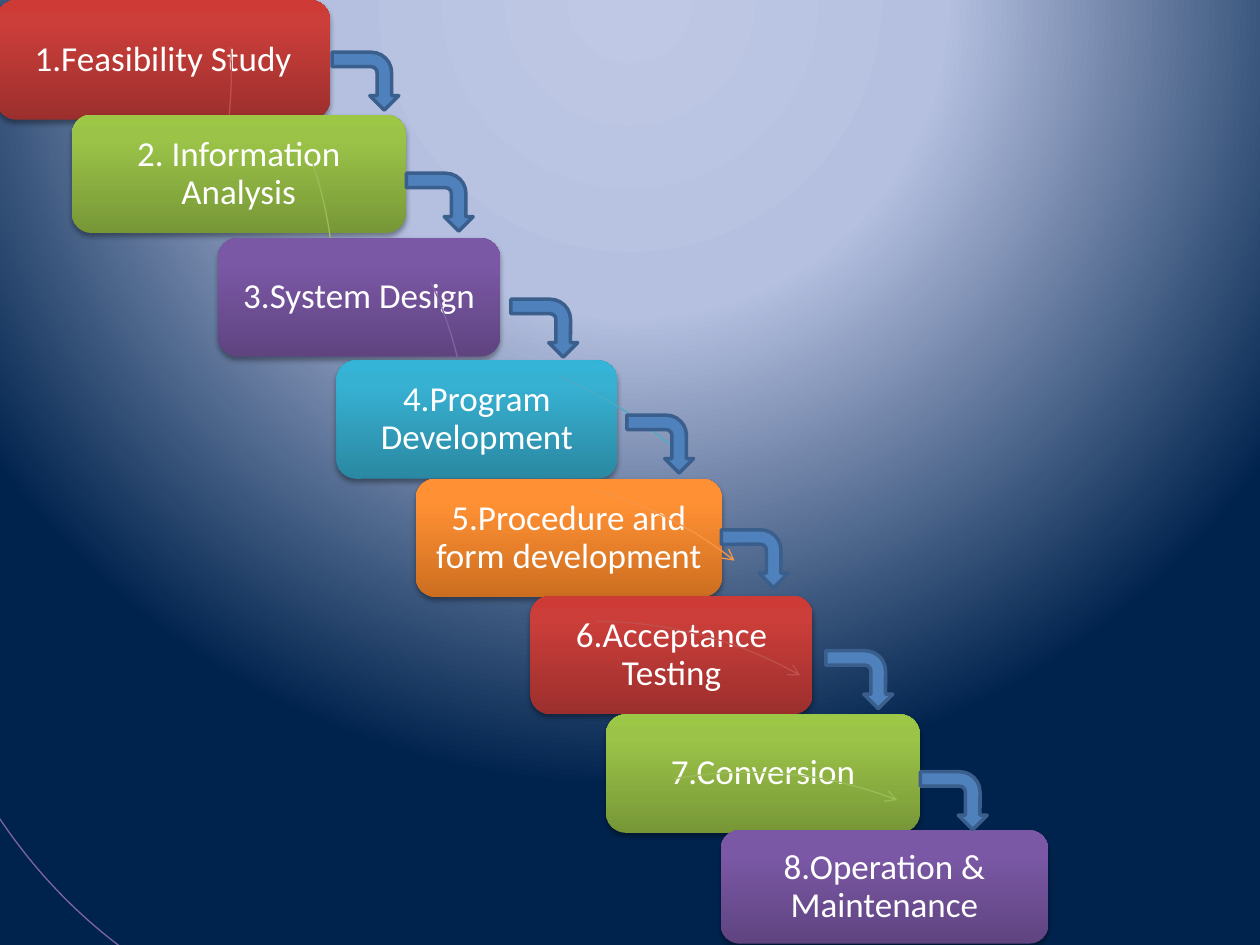
import lxml.etree
import pptx
import pptx.util
import pptx.dml.color
import pptx.enum.shapes
import pptx.enum.text
import pptx.oxml
from pptx.oxml.ns import nsdecls, qn

Inches, Pt = pptx.util.Inches, pptx.util.Pt
RGB = pptx.dml.color.RGBColor.from_string
SHAPES = pptx.enum.shapes.MSO_SHAPE

# Theme: each box colour has gradient stops (bottom to top) and an arc colour
THEME = {
    "font": "Calibri", "size": 20, "text": "FFFFFF",
    "arrow": "4F81BD", "arrow_line": "3A5F8C",
    "background": [(0, "BFC9E5"), (40, "B5C0E0"), (100, "00234D")],
    "red": ([(0, "9C2F2D"), (80, "CB3E3A"), (100, "CE3B37")], "C0504D"),
    "green": ([(0, "779737"), (80, "9BC348"), (100, "9DC746")], "9BBB59"),
    "purple": ([(0, "5F4480"), (80, "7B58A6"), (100, "7C57A8")], "8064A2"),
    "teal": ([(0, "2A88A2"), (80, "37B1D2"), (100, "34B4D6")], "4BACC6"),
    "orange": ([(0, "CC6E20"), (80, "FF9034"), (100, "FF9136")], "F79646"),
}
COLOUR_CYCLE = ["red", "green", "purple", "teal", "orange"]

# Steps: text, box (left, top, width, height),
# arc circle (left, top, diameter), arc as Bezier points
STEPS = [
    ("1.Feasibility Study", (-0.03, 0, 2.65, 0.95), (-4.72, -2.67, 6.55),
     [(1.83, 0.37), (1.85, 0.75), (1.81, 1.13), (1.71, 1.5)]),
    ("2. Information Analysis", (0.57, 0.91, 2.65, 0.94), (-3.9, -0.93, 6.55),
     [(2.47, 1.26), (2.6, 1.64), (2.66, 2.04), (2.65, 2.44)]),
    ("3.System Design", (1.73, 1.89, 2.24, 0.94), (-2.83, 0.33, 6.55),
     [(3.42, 2.24), (3.59, 2.61), (3.69, 3), (3.71, 3.41)]),
    ("4.Program Development", (2.67, 2.86, 2.23, 0.94), (-0.1, 2.74, 6.55),
     [(4.44, 2.99), (4.82, 3.15), (5.17, 3.38), (5.47, 3.67)]),
    ("5.Procedure and form development", (3.3, 3.8, 2.43, 0.94),
     (0.55, 3.77, 6.55),
     [(4.71, 3.89), (5.12, 4), (5.5, 4.19), (5.83, 4.45)]),
    ("6.Acceptance Testing", (4.21, 4.73, 2.24, 0.94), (1.44, 4.93, 6.55),
     [(4.74, 4.93), (5.3, 4.94), (5.86, 5.08), (6.35, 5.36)]),
    ("7.Conversion", (4.81, 5.67, 2.49, 0.94), (2.67, 6.13, 6.55),
     [(5.35, 6.18), (5.95, 6.08), (6.56, 6.13), (7.12, 6.35)]),
    ("8.Operation & Maintenance", (5.72, 6.59, 2.6, 0.9), (-0.69, 0.11, 8.23),
     [(4.44, 8.21), (2.84, 8.62), (1.15, 8.03), (0.15, 6.71),
      (-0.85, 5.4), (-0.97, 3.61), (-0.15, 2.18)]),
]
# Left and top of the bent arrow after each step but the last
ARROWS = [(2.67, 0.38), (3.26, 1.34), (4.09, 2.34), (5.01, 3.26),
          (5.76, 4.17), (6.59, 5.13), (7.34, 6.09)]
ARROW_SIZE = (0.46, 0.53)


def set_gradient(fill, props, stops, direction):
    """Replace the fill held by props with a gradient of several stops."""
    fill.solid()
    gs = "".join(f'<a:gs pos="{pos * 1000}"><a:srgbClr val="{c}"/></a:gs>'
                 for pos, c in stops)
    grad = pptx.oxml.parse_xml(
        f'<a:gradFill {nsdecls("a")} rotWithShape="1"><a:gsLst>{gs}</a:gsLst>'
        f'{direction}</a:gradFill>')
    solid = props.find(qn("a:solidFill"))
    props.replace(solid, grad)


def add_box(s, text, place, stops):
    sp = s.shapes.add_shape(SHAPES.ROUNDED_RECTANGLE, *map(Inches, place))
    props = sp._element.spPr
    set_gradient(sp.fill, props, stops, '<a:lin ang="16200000" scaled="0"/>')
    sp.line.fill.background()
    sp.shadow.inherit = False
    props.find(qn("a:effectLst")).append(pptx.oxml.parse_xml(
        f'<a:outerShdw {nsdecls("a")} blurRad="{Pt(3.1)}" dist="{Pt(1.8)}" '
        'dir="5400000" rotWithShape="0"><a:srgbClr val="000000">'
        '<a:alpha val="35000"/></a:srgbClr></a:outerShdw>'))
    tf = sp.text_frame
    tf.word_wrap = True
    tf.vertical_anchor = pptx.enum.text.MSO_ANCHOR.MIDDLE
    tf.margin_left = tf.margin_right = Inches(0.08)
    tf.margin_top = tf.margin_bottom = Inches(0.08)
    p = tf.paragraphs[0]
    p.text = text
    p.alignment = pptx.enum.text.PP_ALIGN.CENTER
    p.line_spacing = 0.9
    p.font.name, p.font.size = THEME["font"], Pt(THEME["size"])
    p.font.color.rgb = RGB(THEME["text"])


def add_arc(s, circle, points, colour):
    left, top, size = map(Inches, circle)
    points = [(Inches(x), Inches(y)) for x, y in points]
    builder = s.shapes.build_freeform(*points[0])
    builder.add_line_segments(points[1:], close=False)
    sp = builder.convert_to_shape()

    # The frame is the whole circle that the arc belongs to
    sp.left, sp.top, sp.width, sp.height = left, top, size, size
    path = sp._element.find(".//" + qn("a:path"))
    path.set("w", str(size))
    path.set("h", str(size))
    for pt, (x, y) in zip(path.iter(qn("a:pt")), points):
        pt.set("x", str(x - left))
        pt.set("y", str(y - top))

    # Every three segments become one Bezier curve
    segments = path.findall(qn("a:lnTo"))
    for i in range(0, len(segments), 3):
        curve = lxml.etree.SubElement(path, qn("a:cubicBezTo"))
        for segment in segments[i:i + 3]:
            curve.append(segment[0])
            path.remove(segment)

    sp.fill.background()
    sp.shadow.inherit = False
    sp.line.color.rgb = RGB(colour)
    sp.line.width = Pt(0.75)
    sp._element.spPr.find(qn("a:ln")).append(pptx.oxml.parse_xml(
        f'<a:tailEnd {nsdecls("a")} type="arrow"/>'))


def add_bent_arrow(s, place):
    sp = s.shapes.add_shape(SHAPES.BENT_ARROW, *map(Inches, place + ARROW_SIZE))
    sp.rotation = 90
    sp.adjustments[3] = 0.35
    sp.shadow.inherit = False
    sp.fill.solid()
    sp.fill.fore_color.rgb = RGB(THEME["arrow"])
    sp.line.color.rgb = RGB(THEME["arrow_line"])
    sp.line.width = Pt(2)


def main():
    prs = pptx.Presentation()
    prs.slide_width, prs.slide_height = Inches(10), Inches(7.5)
    s = prs.slides.add_slide(prs.slide_layouts[6])

    # Background glow centred above the top edge
    fill = s.background.fill
    set_gradient(fill, s._element.find(".//" + qn("p:bgPr")), THEME["background"],
                 '<a:path path="circle"><a:fillToRect l="50000" t="-80000" '
                 'r="50000" b="180000"/></a:path>')

    # Staircase of steps, each with its arc on top
    for i, (text, place, circle, arc) in enumerate(STEPS):
        stops, arc_colour = THEME[COLOUR_CYCLE[i % len(COLOUR_CYCLE)]]
        add_box(s, text, place, stops)
        add_arc(s, circle, arc, arc_colour)

    # Bent arrows between the steps
    for place in ARROWS:
        add_bent_arrow(s, place)

    prs.save("out.pptx")


if __name__ == "__main__":
    main()
